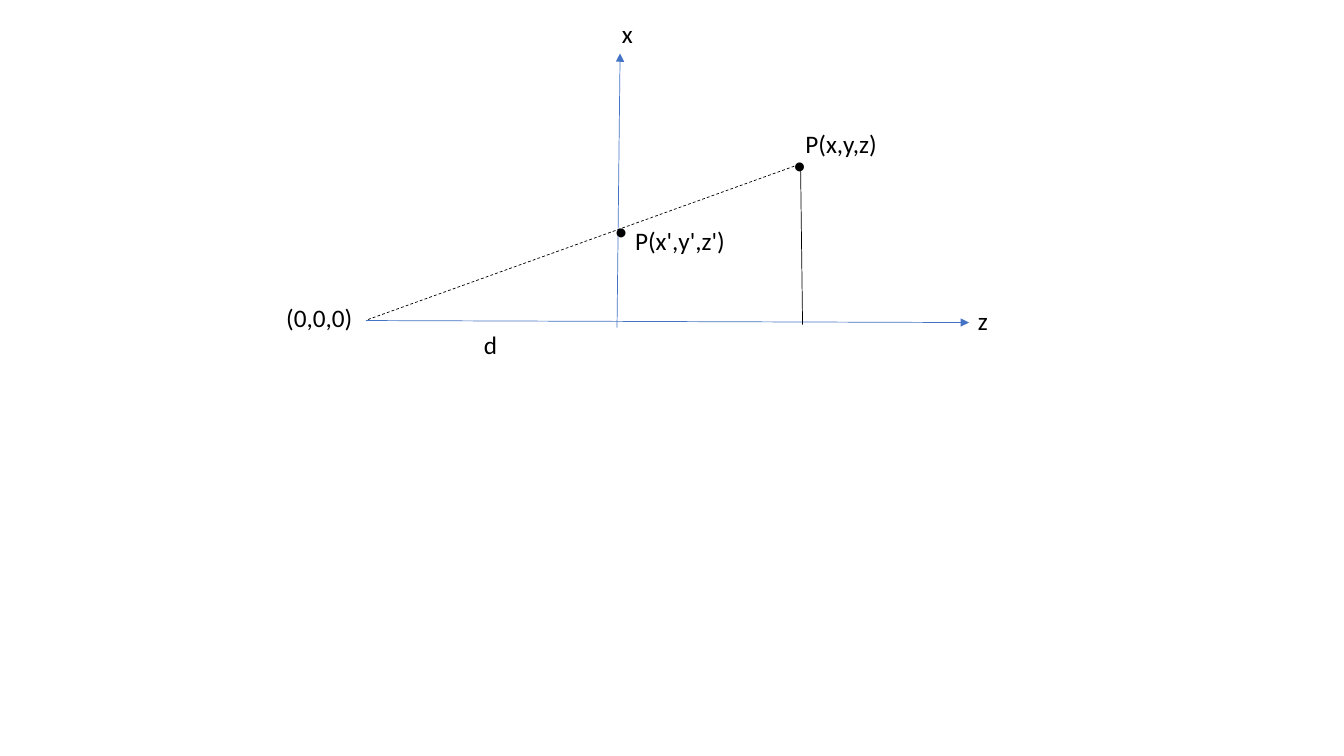
from lxml.etree import SubElement
from pptx import Presentation
from pptx.dml.color import RGBColor
from pptx.enum.dml import MSO_LINE
from pptx.enum.shapes import MSO_CONNECTOR as Connector
from pptx.enum.text import MSO_AUTO_SIZE as AutoSize
from pptx.oxml.ns import qn
from pptx.util import Inches, Pt

BLUE, BLACK = "4472C4", "000000"
LABEL_WIDTH, DOT_WIDTH, TEXT_HEIGHT = 3, 0.4, 0.4

# Axes, as start and end points in inches
AXES = [
    ((6.12, 3.25), (6.15, 0.53)),
    ((3.63, 3.18), (9.61, 3.2)),
]
PROJECTION_RAY = ((3.65, 3.17), (7.93, 1.63))
HEIGHT_OF_POINT = ((7.94, 1.62), (7.96, 3.22))

# Dots and labels, as left and top in inches
DOTS = [(7.77, 1.43), (6, 2.09)]
LABELS = [
    ("P(x,y,z)", 7.89, 1.22),
    ("P(x',y',z')", 6.2, 2.19),
    ("z", 9.6, 2.98),
    ("x", 6.07, 0.13),
    ("(0,0,0)", 2.74, 2.95),
    ("d", 4.7, 3.22),
]


def rgb(color):
    return RGBColor.from_string(color)


def add_line(slide, start, end, color=BLACK, dash=None, arrow=False):
    points = [Inches(value) for value in (*start, *end)]
    connector = slide.shapes.add_connector(Connector.STRAIGHT, *points)
    line = connector.line
    line.color.rgb = rgb(color)
    line.width = Pt(0.5)
    if dash:
        line.dash_style = dash
    properties = connector._element.spPr
    if arrow:
        SubElement(properties.find(qn("a:ln")), qn("a:tailEnd"), type="triangle")
    SubElement(properties, qn("a:effectLst"))


def add_text(slide, text, left, top, width=LABEL_WIDTH, size=18,
             font="Calibri", color=BLACK):
    box = slide.shapes.add_textbox(
        Inches(left), Inches(top), Inches(width), Inches(TEXT_HEIGHT))
    frame = box.text_frame
    frame.word_wrap = True
    frame.auto_size = AutoSize.SHAPE_TO_FIT_TEXT
    run = frame.paragraphs[0].add_run()
    run.text = text
    run.font.name = font
    run.font.size = Pt(size)
    run.font.color.rgb = rgb(color)


def main():
    presentation = Presentation()
    presentation.slide_width = Inches(13.33)
    presentation.slide_height = Inches(7.5)
    slide = presentation.slides.add_slide(presentation.slide_layouts[6])

    # Axes and construction lines
    for start, end in AXES:
        add_line(slide, start, end, color=BLUE, arrow=True)
    add_line(slide, *PROJECTION_RAY, dash=MSO_LINE.DASH)
    add_line(slide, *HEIGHT_OF_POINT)

    # Points and their labels
    for left, top in DOTS:
        add_text(slide, "•", left, top, width=DOT_WIDTH)
    for text, left, top in LABELS:
        add_text(slide, text, left, top)

    presentation.save("out.pptx")


if __name__ == "__main__":
    main()
